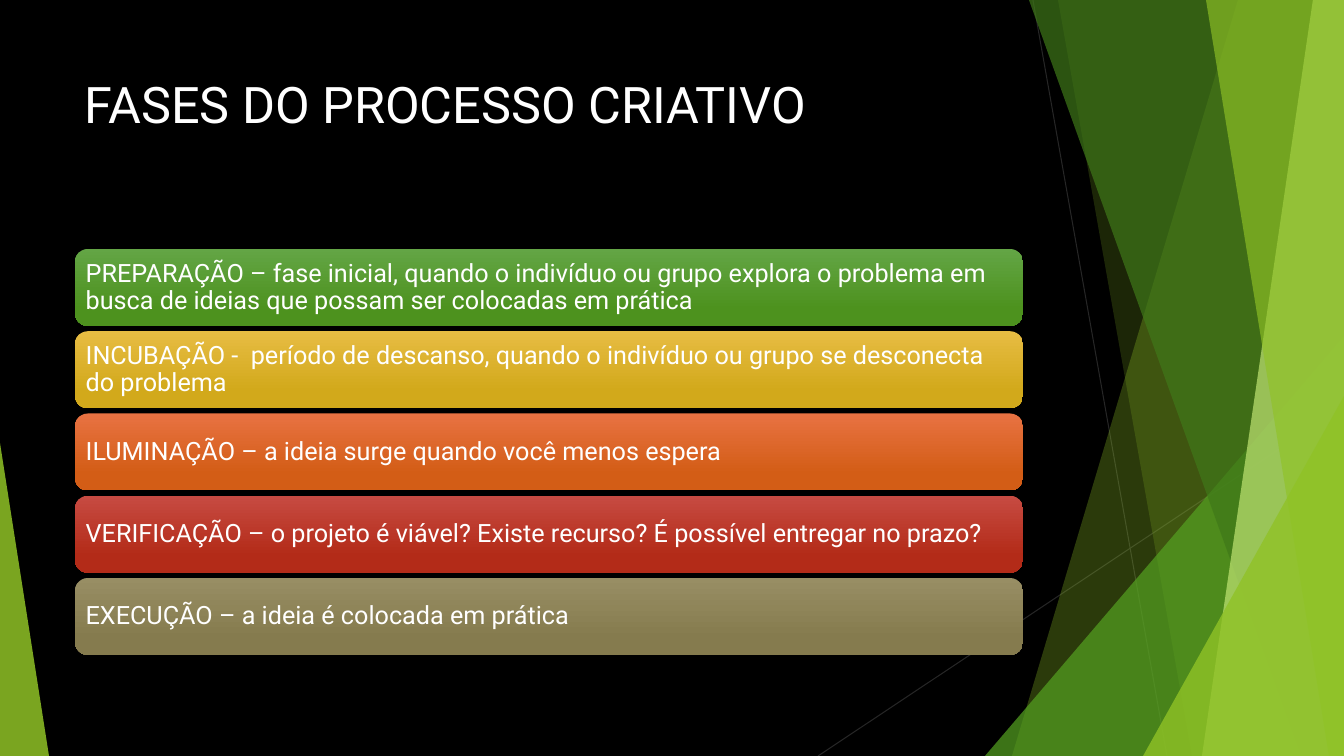
from lxml.etree import SubElement
from pptx import Presentation
from pptx.dml.color import RGBColor
from pptx.enum.shapes import MSO_CONNECTOR, MSO_SHAPE
from pptx.enum.text import MSO_ANCHOR, PP_ALIGN
from pptx.oxml.ns import qn
from pptx.util import Inches, Pt

SCALE = Inches(1) / 100.8
WIDTH, HEIGHT = 1344, 756
FONT = "Roboto"
LIME, GREEN, DARK_GREEN, PALE_LIME = "90C226", "54A021", "3F7819", "C0E474"

PHASES = [
    ("PREPARAÇÃO – fase inicial, quando o indivíduo ou grupo explora o problema em busca de ideias "
     "que possam ser colocadas em prática", "63A545", "4D921E"),
    ("INCUBAÇÃO -  período de descanso, quando o indivíduo ou grupo se desconecta do problema",
     "E7BC43", "D2A91B"),
    ("ILUMINAÇÃO – a ideia surge quando você menos espera", "E87242", "D35D16"),
    ("VERIFICAÇÃO – o projeto é viável? Existe recurso? É possível entregar no prazo?",
     "C74B42", "B32B18"),
    ("EXECUÇÃO – a ideia é colocada em prática", "988E64", "857B4E"),
]


def px(length):
    """Turn a length in px into EMU."""
    return round(length * SCALE)


def color(value):
    """Turn a hex string into a colour."""
    return RGBColor.from_string(value)


def write_text(shape, text, size, hue="FFFFFF", anchor=MSO_ANCHOR.TOP, inset=(10, 5), spacing=1.0):
    """Put one formatted paragraph into a shape."""
    frame = shape.text_frame
    frame.word_wrap = True
    frame.vertical_anchor = anchor
    frame.margin_left = frame.margin_right = px(inset[0])
    frame.margin_top = frame.margin_bottom = px(inset[1])
    paragraph = frame.paragraphs[0]
    paragraph.alignment = PP_ALIGN.LEFT
    paragraph.line_spacing = spacing
    run = paragraph.add_run()
    run.text = text
    run.font.name = FONT
    run.font.size = Pt(size)
    run.font.color.rgb = color(hue)


def paint_glass(shape, hue, opacity):
    """Fill a shape with a see-through colour and no outline."""
    shape.shadow.inherit = False
    shape.line.fill.background()
    shape.fill.solid()
    shape.fill.fore_color.rgb = color(hue)
    solid = shape.element.spPr.find(qn("a:solidFill"))
    SubElement(solid[0], qn("a:alpha")).set("val", str(opacity * 1000))


def add_hairline(slide, start, end):
    """Draw a thin dark line between two points."""
    line = slide.shapes.add_connector(MSO_CONNECTOR.STRAIGHT, *map(px, (*start, *end)))
    line.line.color.rgb = color("262626")
    line.line.width = Pt(0.75)
    SubElement(line.element.spPr, qn("a:effectLst"))


def add_shard(slide, top_left, bottom_left, box, hue, opacity):
    """Draw a slanted panel reaching the right edge of its box."""
    left, top, width, height = box
    right, bottom = left + width, top + height
    builder = slide.shapes.build_freeform(left + top_left, top, scale=SCALE)
    builder.add_line_segments([(right, top), (right, bottom), (left + bottom_left, bottom)])
    paint_glass(builder.convert_to_shape(), hue, opacity)


def add_corner(slide, box, apex, hue, opacity):
    """Draw a triangle whose apex lies at a share of its width."""
    triangle = slide.shapes.add_shape(MSO_SHAPE.ISOSCELES_TRIANGLE, *map(px, box))
    triangle.adjustments[0] = apex
    paint_glass(triangle, hue, opacity)


def add_facets(slide, box):
    """Draw the green facets along the sides of the slide."""
    left, top, width, height = box
    right, bottom = left + width, top + height
    add_hairline(slide, (left + 1033, top), (left + 1167, bottom))
    add_hairline(slide, (right, top + 406), (left + 818, bottom))
    add_shard(slide, 1238, 1012, box, LIME, 30)
    add_shard(slide, 1058, 1192, box, LIME, 20)
    add_corner(slide, (right - 359, bottom - 420, 359, 420), 1, GREEN, 72)
    add_shard(slide, 1029, 1301, box, DARK_GREEN, 70)
    add_shard(slide, 1313, 1202, box, PALE_LIME, 70)
    add_shard(slide, 1206, 1329, box, LIME, 65)
    add_corner(slide, (right - 201, bottom - 360, 201, 360), 1, LIME, 80)
    add_corner(slide, (left, bottom - 313, 49, 313), 0, LIME, 85)


def add_title(slide, box):
    """Write the slide title."""
    title = slide.shapes.add_textbox(*map(px, box))
    write_text(title, "FASES DO PROCESSO CRIATIVO", size=36)


def add_phases(slide, box, bar_height=77):
    """Stack one gradient bar per phase, evenly spread over the box."""
    left, top, width, height = box
    pitch = (height - bar_height) / (len(PHASES) - 1)
    for index, (text, upper, lower) in enumerate(PHASES):
        bar_box = (left, top + index * pitch, width, bar_height)
        bar = slide.shapes.add_shape(MSO_SHAPE.ROUNDED_RECTANGLE, *map(px, bar_box))
        bar.shadow.inherit = False
        bar.line.fill.background()
        bar.fill.gradient()
        bar.fill.gradient_angle = 270
        for stop, position, hue in zip(bar.fill.gradient_stops, (0, 0.78), (upper, lower)):
            stop.position = position
            stop.color.rgb = color(hue)
        write_text(bar, text, size=18, anchor=MSO_ANCHOR.MIDDLE, inset=(7, 7), spacing=0.9)


def main():
    """Build and save the slide."""
    presentation = Presentation()
    presentation.slide_width, presentation.slide_height = px(WIDTH), px(HEIGHT)
    slide = presentation.slides.add_slide(presentation.slide_layouts[6])
    slide.background.fill.solid()
    slide.background.fill.fore_color.rgb = color("000000")
    add_facets(slide, (0, 0, WIDTH, HEIGHT))
    add_title(slide, (75, 68, 948, 145))
    add_phases(slide, (75, 249, 948, 406))
    presentation.save("out.pptx")


if __name__ == "__main__":
    main()
